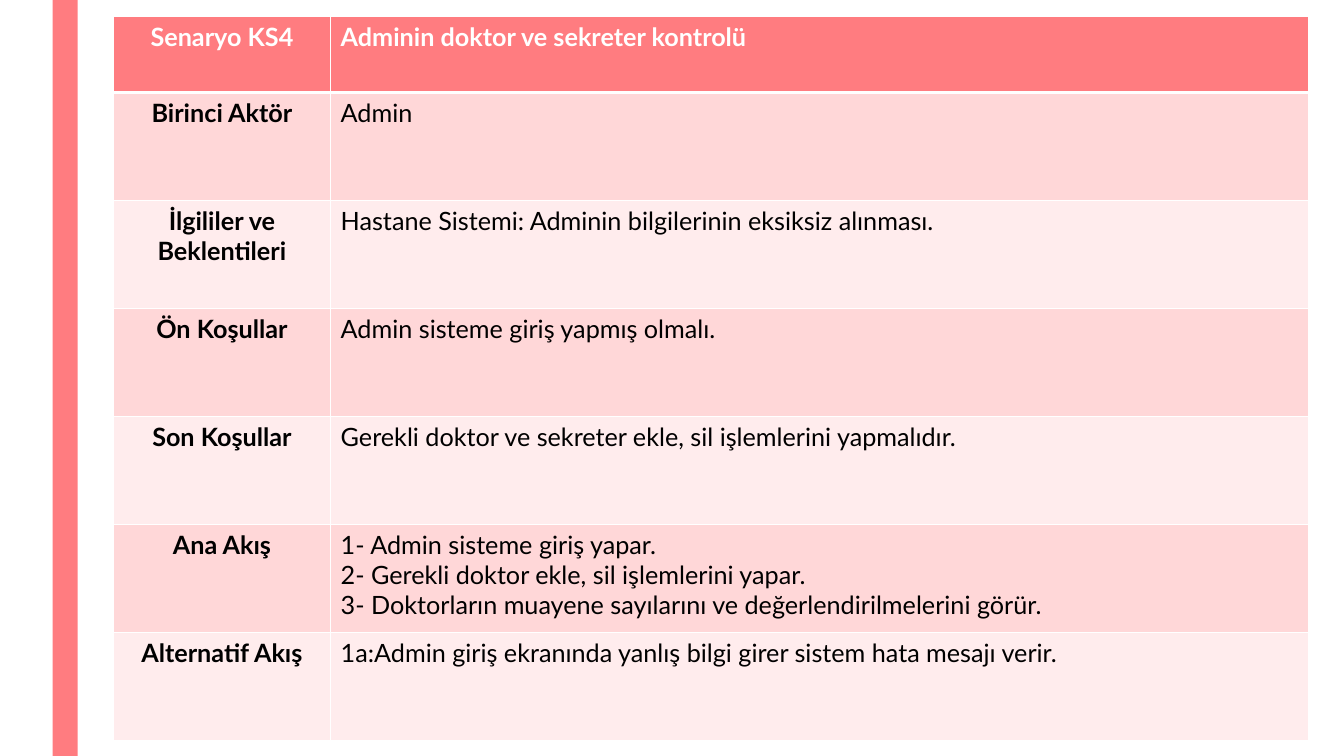
import pptx
import pptx.dml.color
import pptx.enum.shapes
import pptx.enum.text
import pptx.oxml
import pptx.oxml.ns
import pptx.util

Pt = pptx.util.Pt
ALIGN = pptx.enum.text.PP_ALIGN
CORAL, PINK, PALE, WHITE, BLACK = "FF7C80", "FFD7D8", "FFECED", "FFFFFF", "000000"
COLUMN_WIDTHS = (155.3, 698.9)
HEADER_HEIGHT, ROW_HEIGHT = 54, 77.15
SCENARIO = [
    ("Senaryo KS4", ["Adminin doktor ve sekreter kontrolü"]),
    ("Birinci Aktör", ["Admin"]),
    ("İlgililer ve Beklentileri", ["Hastane Sistemi: Adminin bilgilerinin eksiksiz alınması."]),
    ("Ön Koşullar", ["Admin sisteme giriş yapmış olmalı."]),
    ("Son Koşullar", ["Gerekli doktor ve sekreter ekle, sil işlemlerini yapmalıdır."]),
    ("Ana Akış", [
        "1- Admin sisteme giriş yapar.",
        "2- Gerekli doktor ekle, sil işlemlerini yapar.",
        "3- Doktorların muayene sayılarını ve değerlendirilmelerini görür.",
    ]),
    ("Alternatif Akış", ["1a:Admin giriş ekranında yanlış bilgi girer sistem hata mesajı verir."]),
]


def color(value):
    """Turn a hex string into a colour."""
    return pptx.dml.color.RGBColor.from_string(value)


def set_fill(target, value):
    """Give a shape or cell a solid fill."""
    target.fill.solid()
    target.fill.fore_color.rgb = color(value)


def add_band(slide, left, top, width, height, value):
    """Add a plain filled rectangle without outline."""
    shape = slide.shapes.add_shape(
        pptx.enum.shapes.MSO_SHAPE.RECTANGLE, Pt(left), Pt(top), Pt(width), Pt(height))
    shape.shadow.inherit = False
    set_fill(shape, value)
    shape.line.fill.background()


def set_borders(cell, widths):
    """Draw white cell borders, with widths keyed by side."""
    properties = cell._tc.get_or_add_tcPr()
    namespace = pptx.oxml.ns.nsdecls("a")
    for side, width in widths.items():
        properties.append(pptx.oxml.parse_xml(
            f'<a:ln{side} {namespace} w="{Pt(width)}"><a:solidFill>'
            f'<a:srgbClr val="{WHITE}"/></a:solidFill></a:ln{side}>'))


def write_lines(cell, lines, alignment, font_format, font_color):
    """Write one paragraph per line into a cell."""
    cell.text = "\n".join(lines)
    for paragraph in cell.text_frame.paragraphs:
        paragraph.alignment = alignment
        font = paragraph.runs[0].font
        for name, value in font_format.items():
            setattr(font, name, value)
        font.color.rgb = color(font_color)


def add_scenario_table(slide, left, top, scenario):
    """Add the table with a header row and banded body rows."""
    height = HEADER_HEIGHT + ROW_HEIGHT * (len(scenario) - 1)
    table = slide.shapes.add_table(
        len(scenario), len(COLUMN_WIDTHS), Pt(left), Pt(top),
        Pt(sum(COLUMN_WIDTHS)), Pt(height)).table
    for column, width in zip(table.columns, COLUMN_WIDTHS):
        column.width = Pt(width)
    for index, (label, lines) in enumerate(scenario):
        header = index == 0
        table.rows[index].height = Pt(HEADER_HEIGHT if header else ROW_HEIGHT)
        fill = CORAL if header else (PALE, PINK)[index % 2]
        borders = {"L": 1, "R": 1, "T": 3 if index == 1 else 1, "B": 3 if header else 1}
        contents = [([label], ALIGN.CENTER, True), (lines, ALIGN.LEFT, header)]
        for column, (text, alignment, bold) in enumerate(contents):
            cell = table.cell(index, column)
            set_borders(cell, borders)
            set_fill(cell, fill)
            font_format = {"name": "Lato", "size": Pt(18), "bold": bold}
            write_lines(cell, text, alignment, font_format, WHITE if header else BLACK)


def main():
    """Build and save the scenario slide."""
    presentation = pptx.Presentation()
    presentation.slide_width, presentation.slide_height = Pt(960), Pt(540)
    slide = presentation.slides.add_slide(presentation.slide_layouts[6])
    add_band(slide, 37.5, 0, 18, 540, CORAL)
    add_scenario_table(slide, 80.9, 12, SCENARIO)
    presentation.save("out.pptx")


if __name__ == "__main__":
    main()
